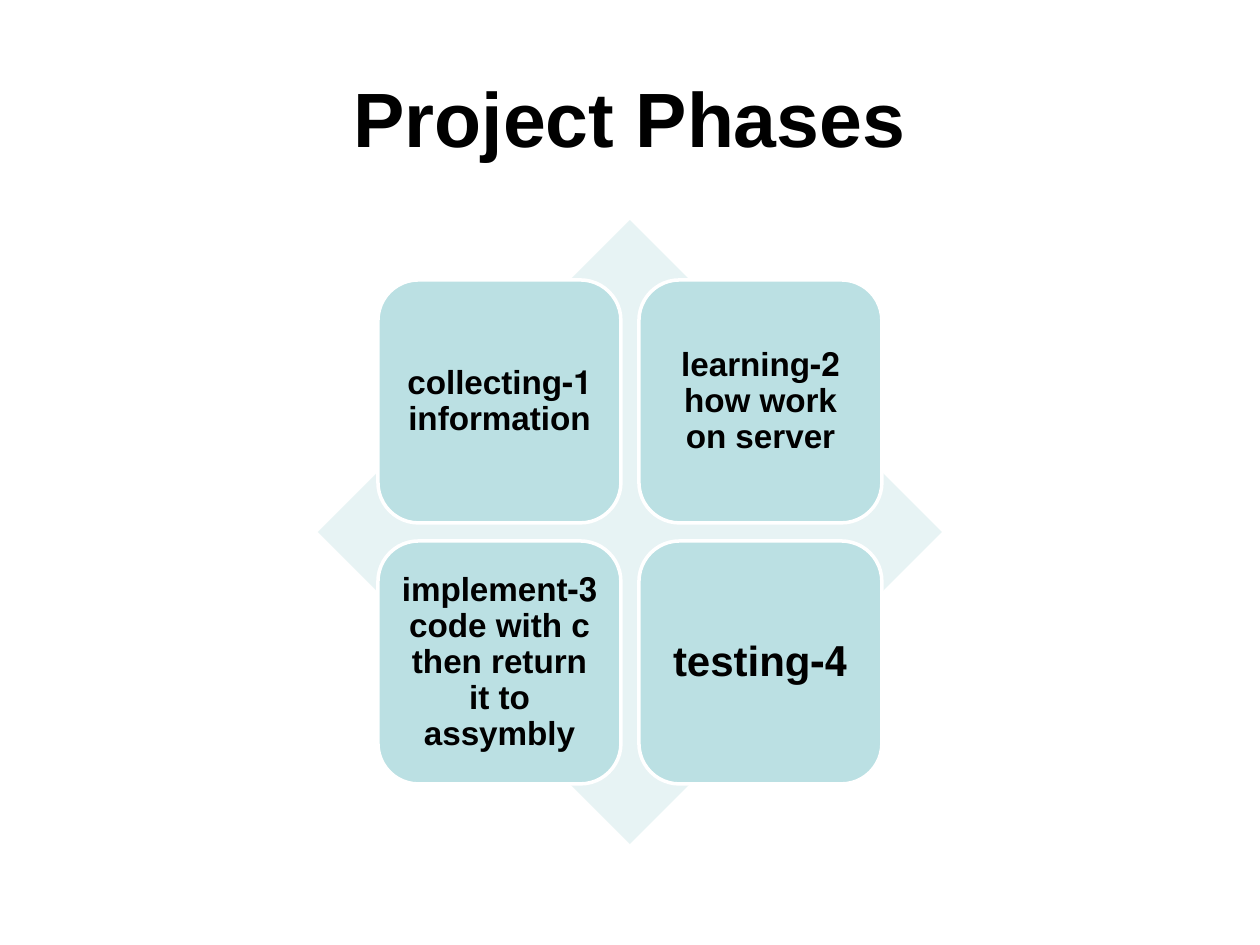
from dataclasses import dataclass

from pptx import Presentation
from pptx import util as u
from pptx.dml.color import RGBColor
from pptx.enum import shapes, text

PX = 914400 // 126  # EMU per px
COLORS = {"tile": "BBE0E3", "diamond": "E7F3F4", "white": "FFFFFF", "text": "000000"}

# Matrix geometry in px
DIAMOND_LEFT, DIAMOND_TOP, DIAMOND_SIZE = 318, 220, 624
TILE_LEFT, TILE_TOP, TILE_SIZE, TILE_PITCH = 378, 280, 243, 261
LABEL_MARGIN = 12


@dataclass
class Box:
    left: int
    top: int
    width: int
    height: int

    def emu(self) -> list[int]:
        return [n * PX for n in (self.left, self.top, self.width, self.height)]


@dataclass
class Phase:
    label: str
    size: int = 19
    inset: int = 10


PHASES = [
    Phase("1-collecting information"),
    Phase("2-learning how work on server"),
    Phase("3-implement code with c then return it to assymbly"),
    Phase("4-testing", size=24, inset=12),
]


def add_filled_shape(slide, kind, box: Box, fill: str):
    shape = slide.shapes.add_shape(kind, *box.emu())
    shape.shadow.inherit = False
    shape.fill.solid()
    shape.fill.fore_color.rgb = RGBColor.from_string(COLORS[fill])
    shape.line.fill.background()
    return shape


def add_label(slide, box: Box, label: str, size: int, inset: int):
    frame = slide.shapes.add_textbox(*box.emu()).text_frame
    frame.word_wrap = True
    frame.vertical_anchor = text.MSO_ANCHOR.MIDDLE
    frame.margin_left = frame.margin_right = inset * PX
    frame.margin_top = frame.margin_bottom = inset * PX
    paragraph = frame.paragraphs[0]
    paragraph.alignment = text.PP_ALIGN.CENTER
    run = paragraph.add_run()
    run.text = label
    run.font.name = "Arial"
    run.font.size = u.Pt(size)
    run.font.bold = True
    run.font.color.rgb = RGBColor.from_string(COLORS["text"])
    return paragraph


def add_phase(slide, phase: Phase, row: int, column: int) -> None:
    left = TILE_LEFT + column * TILE_PITCH
    top = TILE_TOP + row * TILE_PITCH
    tile = add_filled_shape(slide, shapes.MSO_SHAPE.ROUNDED_RECTANGLE,
                            Box(left, top, TILE_SIZE, TILE_SIZE), "tile")
    tile.line.color.rgb = RGBColor.from_string(COLORS["white"])
    tile.line.width = u.Pt(2)
    label_size = TILE_SIZE - 2 * LABEL_MARGIN
    box = Box(left + LABEL_MARGIN, top + LABEL_MARGIN, label_size, label_size)
    paragraph = add_label(slide, box, phase.label, phase.size, phase.inset)
    paragraph.line_spacing = 0.9
    # Right-to-left reading order
    paragraph._p.get_or_add_pPr().set("rtl", "1")


def main() -> None:
    presentation = Presentation()
    presentation.slide_width = u.Inches(10)
    presentation.slide_height = u.Inches(7.5)
    slide = presentation.slides.add_slide(presentation.slide_layouts[6])

    # Title
    add_label(slide, Box(63, 38, 1134, 157), "Project Phases", 44, 6)

    # Diamond behind the matrix
    add_filled_shape(slide, shapes.MSO_SHAPE.DIAMOND,
                     Box(DIAMOND_LEFT, DIAMOND_TOP, DIAMOND_SIZE, DIAMOND_SIZE), "diamond")

    # Two by two matrix of phases
    for index, phase in enumerate(PHASES):
        add_phase(slide, phase, *divmod(index, 2))

    presentation.save("out.pptx")


if __name__ == "__main__":
    main()
